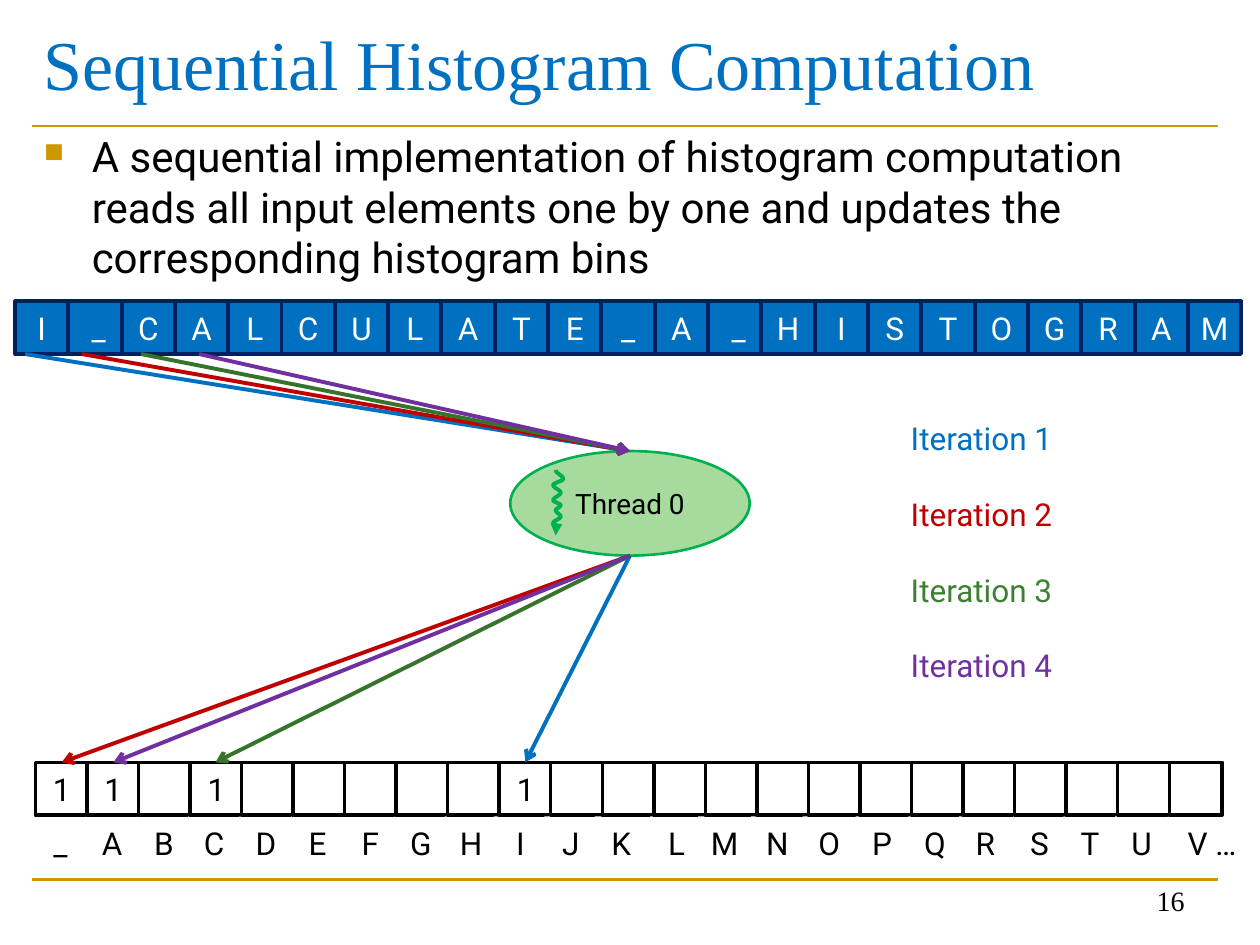
"""Builds a slide that shows a sequential histogram computation."""
from math import cos, pi

from lxml.etree import SubElement
from pptx import Presentation
from pptx.dml.color import RGBColor
from pptx.enum.shapes import MSO_CONNECTOR as Connector, MSO_SHAPE as Shape
from pptx.enum.text import MSO_ANCHOR as Anchor, PP_ALIGN as Align
from pptx.oxml.ns import qn
from pptx.util import Inches, Pt

INPUT = ["I", " _", *"CALCULATE_A", " _", *"HISTOGRAM"]
LABELS = [*"_ABCDEFGHIJKLMNOPQRSTU", "V …"]
LABEL_LEFTS = [0.27, 0.68, 1.09, 1.49, 1.9, 2.31, 2.73, 3.13, 3.53, 3.92, 4.32, 4.72,
               5.16, 5.54, 5.96, 6.37, 6.79, 7.21, 7.61, 8.04, 8.44, 8.85, 9.27]
FILLED_BINS = (0, 1, 3, 9)
ITERATIONS = [
    ("0070C0", "0070C0", 0.2, 4.17),
    ("C00000", "C00000", 0.65, 0.49),
    ("35742A", "3B812F", 1.12, 1.71),
    ("7030A0", "7030A0", 1.58, 0.9),
]
WAVE_TURNS = [(4.41, 3.73), (4.47, 3.8), (4.39, 3.85), (4.45, 3.91), (4.39, 3.97), (4.45, 4.01),
              (4.41, 4.05), (4.45, 4.1), (4.39, 4.15), (4.43, 4.18), (4.41, 4.25)]
CELL = 0.42


def color(value):
    return RGBColor.from_string(value)


def write(frame, text, size=18, ink="000000", font="Roboto", align=Align.LEFT,
          anchor=Anchor.TOP, wrap=True, bullet=None):
    frame.word_wrap = wrap
    frame.vertical_anchor = anchor
    para = frame.paragraphs[0]
    para.alignment = align
    if bullet:
        props = para._p.get_or_add_pPr()
        props.set("marL", str(Inches(0.38)))
        props.set("indent", str(-Inches(0.38)))
        SubElement(SubElement(props, qn("a:buClr")), qn("a:srgbClr"), val=bullet)
        SubElement(props, qn("a:buSzPct"), val="65000")
        SubElement(props, qn("a:buChar"), char="■")
    span = para.add_run()
    span.text = text
    span.font.size = Pt(size)
    span.font.name = font
    span.font.color.rgb = color(ink)


class Board:
    """Holds the style and the current slide."""

    serif = "Times New Roman"
    gold = "CC9900"
    green = "00B050"

    def __init__(self, page):
        self.page = page

    def stroke(self, line, ink, width, head=None):
        line.color.rgb = color(ink)
        line.width = Pt(width)
        if head:
            SubElement(line._get_or_add_ln(), qn("a:tailEnd"), type=head)

    def text(self, text, left, top, width, height, **style):
        box = self.page.shapes.add_textbox(*map(Inches, (left, top, width, height)))
        write(box.text_frame, text, **style)

    def shape(self, kind, left, top, width, height, fill, edge=None, weight=2, text="", **style):
        shape = self.page.shapes.add_shape(kind, *map(Inches, (left, top, width, height)))
        shape.shadow.inherit = False
        shape.fill.solid()
        shape.fill.fore_color.rgb = color(fill)
        if edge:
            self.stroke(shape.line, edge, weight)
        else:
            shape.line.fill.background()
        frame = shape.text_frame
        frame.margin_left = frame.margin_right = 0
        if text:
            write(frame, text, align=Align.CENTER, anchor=Anchor.MIDDLE, **style)

    def cell(self, left, top, fill="FFFFFF", width=CELL, **options):
        self.shape(Shape.RECTANGLE, left, top, width, CELL, fill, **options)

    def line(self, start, end, ink, width, head=None):
        line = self.page.shapes.add_connector(Connector.STRAIGHT, *map(Inches, (*start, *end)))
        self.stroke(line.line, ink, width, head)
        SubElement(line._element.spPr, qn("a:effectLst"))

    def wave(self, turns, ink, steps=8):
        points = [(Inches(x + (x2 - x) * (1 - cos(pi * step / steps)) / 2),
                   Inches(y + (y2 - y) * step / steps))
                  for (x, y), (x2, y2) in zip(turns, turns[1:])
                  for step in range(1, steps + 1)]
        builder = self.page.shapes.build_freeform(*map(Inches, turns[0]))
        builder.add_line_segments(points, close=False)
        wave = builder.convert_to_shape()
        wave.shadow.inherit = False
        wave.fill.background()
        self.stroke(wave.line, ink, 2.25, "triangle")


def main():
    deck = Presentation()
    deck.slide_width, deck.slide_height = Inches(10), Inches(7.5)
    board = Board(deck.slides.add_slide(deck.slide_layouts[6]))

    for y in (1, 6.98):
        board.line((0.25, y), (9.67, y), board.gold, 1.5)
    board.text("Sequential Histogram Computation", 0.25, 0, 9.42, 0.99, size=40,
               ink="0070C0", font=board.serif, anchor=Anchor.MIDDLE)
    board.text("A sequential implementation of histogram computation reads all input elements "
               "one by one and updates the corresponding histogram bins",
               0.25, 0.99, 9.42, 1.35, size=24, bullet=board.gold)
    board.text("16", 7.17, 6.83, 2.33, 0.5, size=16, font=board.serif,
               align=Align.RIGHT, anchor=Anchor.BOTTOM)

    for index, letter in enumerate(INPUT):
        board.cell(0.12 + index * 9.31 / 22, 2.39, "0070C0", edge="002060",
                   text=letter, ink="FFFFFF")
    for index, (label, left) in enumerate(zip(LABELS, LABEL_LEFTS)):
        board.cell(left, 6.48, width=0.7 if len(label) > 1 else CELL, text=label)
        board.cell(0.28 + index * 9 / 22, 6.05, edge="000000",
                   text="1" if index in FILLED_BINS else "")

    board.shape(Shape.OVAL, 4.05, 3.58, 1.9, 0.83, "A6DB9D", board.green, 1.5,
                text="Thread 0", size=16)
    board.wave(WAVE_TURNS, board.green)
    for index, (ink, text_ink, source, target) in enumerate(ITERATIONS):
        board.line((source, 2.81), (5, 3.58), ink, 2.25, "arrow")
        board.line((5, 4.41), (target, 6.05), ink, 2.25, "arrow")
        board.text(f"Iteration {index + 1}", 7.13, 3.28 + 0.6 * index, 1.37, 0.4,
                   ink=text_ink, wrap=False)

    deck.save("out.pptx")


if __name__ == "__main__":
    main()
